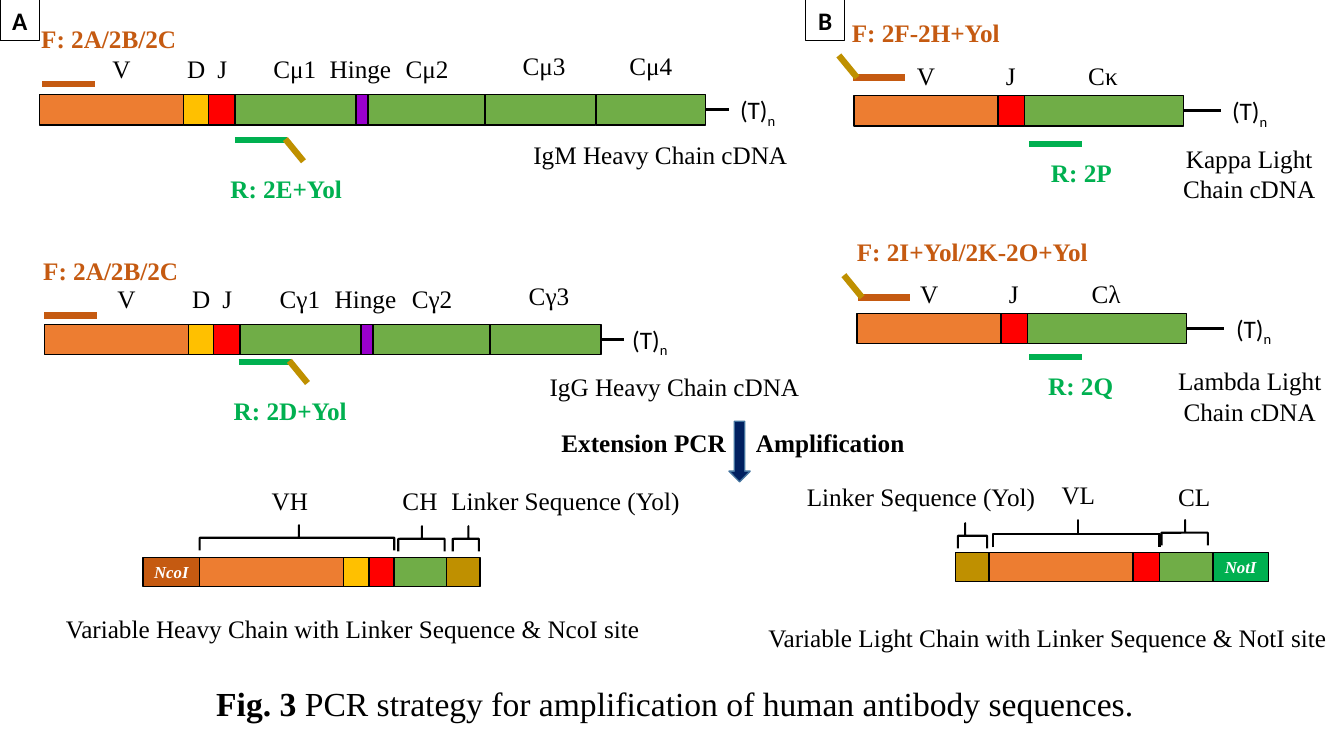
from lxml import etree
from pptx import Presentation
from pptx import util as u
from pptx.dml import color
from pptx.enum import shapes, text
from pptx.oxml import ns

PX = 9144  # 100 px to the inch
rgb = color.RGBColor.from_string
KIND = shapes.MSO_SHAPE
CENTER, LEFT = text.PP_ALIGN.CENTER, text.PP_ALIGN.LEFT
BLACK, WHITE = "000000", "FFFFFF"
ORANGE, YELLOW, RED, GREEN, PURPLE = "ED7D31", "FFC000", "FF0000", "70AD47", "9900CC"
FORWARD, REVERSE, LINKER = "C55A11", "00B050", "BF9000"

deck = Presentation()
deck.slide_width, deck.slide_height = 1333 * PX, 750 * PX
slide = deck.slides.add_slide(deck.slide_layouts[6])


def draw(kind, left, top, width, height, fill=None, line=BLACK, weight=1.0):
    shape = slide.shapes.add_shape(kind, *(int(n * PX) for n in (left, top, width, height)))
    shape.shadow.inherit = False
    if fill:
        shape.fill.solid()
        shape.fill.fore_color.rgb = rgb(fill)
    else:
        shape.fill.background()
    shape.line.color.rgb = rgb(line)
    shape.line.width = u.Pt(weight)
    return shape


def write(frame, runs, ink=BLACK, size=18, bold=False, italic=False,
          font="Times New Roman", align=CENTER, wrap=True):
    frame.word_wrap = wrap
    paragraph = frame.paragraphs[0]
    paragraph.alignment = align
    for words in runs:
        run = paragraph.add_run()
        run.text = words
        run.font.name, run.font.size = font, u.Pt(size)
        run.font.bold, run.font.italic = bold, italic
        run.font.color.rgb = rgb(ink)
    return paragraph


strokes = []  # x1, y1, x2, y2, colour, weight, shape at the start
labels = []   # left, top, width, words, options
narrow = {"wrap": False}

# cDNA chains: left, top, segments, tail length, left of (T)n, region labels
heavy = [(ORANGE, 143), (YELLOW, 25), (RED, 26), (GREEN, 120), (PURPLE, 12),
         (GREEN, 116), (GREEN, 110), (GREEN, 109)]
light = [(ORANGE, 143), (RED, 26), (GREEN, 158)]
heavy_places = [(59, -46, 45), (135, -46, 41), (160, -46, 43), (214, -46, 79),
                (275, -46, 87), (345, -46, 79), (461, -49, 79), (567, -49, 79)]
light_places = [(49, -40, 45), (134, -40, 43), (222, -40, 50)]
chains = [
    (39, 94, heavy, 23, 716, heavy_places, ["V", "D", "J", "Cμ1", "Hinge", "Cμ2", "Cμ3", "Cμ4"]),
    (44, 322, heavy[:-1], 23, 609, heavy_places, ["V", "D", "J", "Cγ1", "Hinge", "Cγ2", "Cγ3"]),
    (847, 95, light, 37, 1204, light_places, ["V", "J", "Cκ"]),
    (850, 311, light, 37, 1208, light_places, ["V", "J", "Cλ"]),
]
for left, top, segments, tail, poly_t, places, regions in chains:
    x = left
    for fill, width in segments:
        segment = draw(KIND.RECTANGLE, x, top, width, 30, fill)
        x += width
    strokes.append((x, top + 15, x + tail, top + 15, BLACK, 2.25, segment))
    for region, (dx, dy, width) in zip(regions, places):
        labels.append((left + dx, top + dy, width, region, narrow))
    tail_box = slide.shapes.add_textbox(poly_t * PX, (top - 5) * PX, 71 * PX, 40 * PX)
    tail_text = write(tail_box.text_frame, ["(T)", "n"], font="Calibri", wrap=False)
    tail_text.runs[1].font._element.set("baseline", "-25000")

# Forward primers
for x, y, name, width, has_linker in [
    (42, 83, "F: 2A/2B/2C", 168, False),
    (44, 313, "F: 2A/2B/2C", 168, False),
    (846, 77, "F: 2F-2H+Yol", 184, True),
    (851, 295, "F: 2I+Yol/2K-2O+Yol", 268, True),
]:
    strokes.append((x, y, x + 52, y, FORWARD, 4.5, None))
    if has_linker:
        strokes.append((x - 14, y - 22, x + 4, y, LINKER, 4.5, None))
    labels.append((x - 11, y - 65, width, name, {"ink": FORWARD, "bold": True, "align": LEFT}))

# Reverse primers
for x, y, name, has_linker in [
    (233, 139, "R: 2E+Yol ", True),
    (237, 359, "R: 2D+Yol ", True),
    (1021, 143, "R: 2P ", False),
    (1021, 354, "R: 2Q ", False),
]:
    strokes.append((x, y, x + 52, y, REVERSE, 4.5, None))
    if has_linker:
        strokes.append((x + 50, y - 1, x + 68, y + 21, LINKER, 4.5, None))
    labels.append((x - 30, y + (28 if has_linker else 8), 168, name,
                   {"ink": REVERSE, "bold": True}))

# Amplified products with restriction sites
products = [
    (142, 553, [(FORWARD, 56, "NcoI"), (ORANGE, 143, ""), (YELLOW, 25, ""),
                (RED, 25, ""), (GREEN, 52, ""), (LINKER, 33, "")]),
    (948, 548, [(LINKER, 33, ""), (ORANGE, 143, ""), (RED, 26, ""),
                (GREEN, 53, ""), (REVERSE, 55, "NotI")]),
]
for x, top, segments in products:
    for fill, width, site in segments:
        segment = draw(KIND.RECTANGLE, x, top, width, 29, fill)
        x += width
        if site:
            segment.text_frame.vertical_anchor = text.MSO_ANCHOR.MIDDLE
            write(segment.text_frame, [site], WHITE, 12, True, True, wrap=False)

# Brackets over the products, turned to point up
for left, top, width, height, tip in [
    (198, 521, 193, 25, 0.49), (395, 522, 46, 25, 0.49), (449, 522, 26, 25, 0.4),
    (985, 516, 165, 27, 0.49), (1152, 516, 46, 25, 0.49), (950, 519, 29, 25, 0.75),
]:
    bracket = draw(KIND.LEFT_BRACE, left + (width - height) / 2, top + (height - width) / 2,
                   height, width, weight=1.5)
    bracket.rotation = 90
    bracket.adjustments[0], bracket.adjustments[1] = 0, tip

# Remaining labels
labels += [
    (506, 133, 298, "IgM Heavy Chain cDNA", {}),
    (520, 363, 298, "IgG Heavy Chain cDNA", {}),
    (1157, 137, 164, "Kappa Light Chain cDNA", {}),
    (1157, 358, 165, "Lambda Light Chain cDNA", {}),
    (244, 477, 87, "VH", narrow),
    (387, 477, 59, "CH", narrow),
    (428, 477, 272, "Linker Sequence (Yol) ", {}),
    (789, 473, 249, "Linker Sequence (Yol) ", {}),
    (1032, 471, 75, "VL", narrow),
    (1154, 473, 61, "CL", narrow),
    (47, 604, 606, "Variable Heavy Chain with Linker Sequence & NcoI site", {}),
    (744, 612, 590, "Variable Light Chain with Linker Sequence & NotI site", {}),
]
for left, top, width, words, options in labels:
    box = slide.shapes.add_textbox(left * PX, top * PX, width * PX, 40 * PX)
    write(box.text_frame, [words], **options)

# Primers and chain tails
for x1, y1, x2, y2, ink, weight, start in strokes:
    stroke = slide.shapes.add_connector(shapes.MSO_CONNECTOR.STRAIGHT,
                                        x1 * PX, y1 * PX, x2 * PX, y2 * PX)
    stroke.line.color.rgb = rgb(ink)
    stroke.line.width = u.Pt(weight)
    etree.SubElement(stroke._element.spPr, ns.qn("a:effectLst"))
    if start:
        stroke.begin_connect(start, 3)

# Amplification step
draw(KIND.DOWN_ARROW, 723, 418, 21, 60, "002060", "43739E")
step_box = slide.shapes.add_textbox(547 * PX, 419 * PX, 373 * PX, 40 * PX)
step = step_box.text_frame.paragraphs[0]
tabs = etree.SubElement(step._p.get_or_add_pPr(), ns.qn("a:tabLst"))
etree.SubElement(tabs, ns.qn("a:tab"), pos=str(193 * PX), algn="l")
write(step_box.text_frame, ["Extension PCR\tAmplification"], bold=True, align=LEFT)

# Panel letters
for left, letter in [(0, "A"), (799, "B")]:
    panel = draw(KIND.RECTANGLE, left, 0, 39, 40, weight=0.75)
    panel.text_frame.vertical_anchor = text.MSO_ANCHOR.TOP
    write(panel.text_frame, [letter], bold=True, font="Calibri", wrap=False)

# Caption
caption_box = slide.shapes.add_textbox(3 * PX, 673 * PX, 1333 * PX, 50 * PX)
caption = write(caption_box.text_frame,
                ["Fig. 3 ", "PCR strategy for amplification of human antibody sequences."], size=24)
caption.runs[0].font.bold = True

deck.save("out.pptx")
